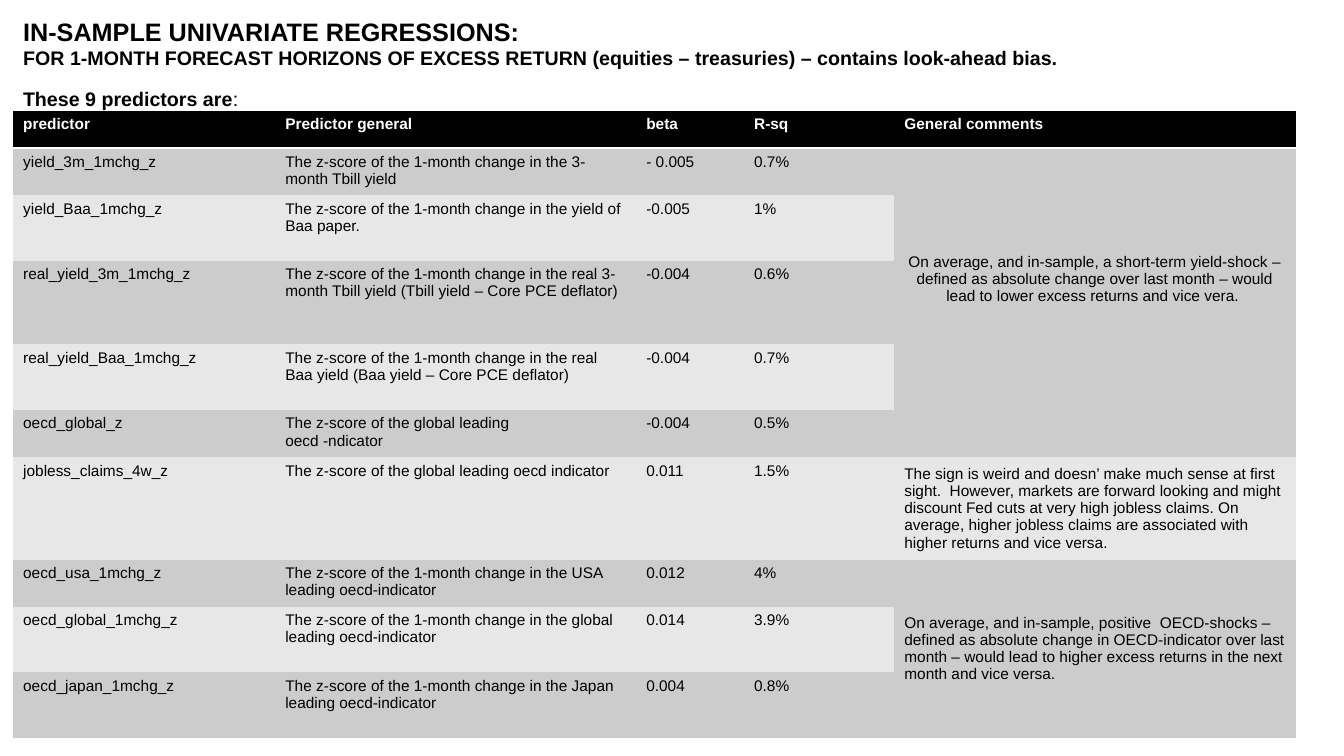
from lxml.etree import fromstring
from pptx import Presentation
from pptx.dml.color import RGBColor
from pptx.enum.text import MSO_ANCHOR, MSO_AUTO_SIZE, PP_ALIGN
from pptx.oxml.ns import qn
from pptx.util import Pt

PX = 9144
WIDE, HIGH = 1333, 750
FONT = "Arial"
PLAIN = "{2D5ABB26-0587-4C30-8999-92F81FD0307C}"
RULE = (
    '<a:lnB xmlns:a="http://schemas.openxmlformats.org/drawingml/2006/main" w="25400">'
    '<a:solidFill><a:srgbClr val="FFFFFF"/></a:solidFill></a:lnB>'
)
COLS = [260, 358, 107, 149, 398]
ROWS = [37, 46, 65, 83, 65, 46, 83, 46, 65, 65]
HEAD = ["predictor", "Predictor general", "beta", "R-sq", "General comments"]
DATA = [
    ["yield_3m_1mchg_z", "The z-score of the 1-month change in the 3-month Tbill yield", "- 0.005", "0.7%"],
    ["yield_Baa_1mchg_z", "The z-score of the 1-month change in the yield of Baa paper.", "-0.005", "1%"],
    ["real_yield_3m_1mchg_z",
     "The z-score of the 1-month change in the real 3-month Tbill yield (Tbill yield – Core PCE deflator)",
     "-0.004", "0.6%"],
    ["real_yield_Baa_1mchg_z",
     "The z-score of the 1-month change in the real Baa yield (Baa yield – Core PCE deflator)",
     "-0.004", "0.7%"],
    ["oecd_global_z", "The z-score of the global leading\noecd -ndicator", "-0.004", "0.5%"],
    ["jobless_claims_4w_z", "The z-score of the global leading oecd indicator", "0.011", "1.5%"],
    ["oecd_usa_1mchg_z", "The z-score of the 1-month change in the USA leading oecd-indicator", "0.012", "4%"],
    ["oecd_global_1mchg_z", "The z-score of the 1-month change in the global leading oecd-indicator",
     "0.014", "3.9%"],
    ["oecd_japan_1mchg_z", "The z-score of the 1-month change in the Japan leading oecd-indicator",
     "0.004", "0.8%"],
]
NOTES = [
    (1, 4, PP_ALIGN.CENTER,
     "On average, and in-sample, a short-term yield-shock – defined as absolute change over last month – "
     "would lead to lower excess returns and vice vera. "),
    (6, 6, PP_ALIGN.LEFT,
     "The sign is weird and doesn’ make much sense at first sight.  However, markets are forward looking "
     "and might discount Fed cuts at very high jobless claims. On average, higher jobless claims are "
     "associated with higher returns and vice versa."),
    (7, 9, PP_ALIGN.LEFT,
     "On average, and in-sample, positive  OECD-shocks – defined as absolute change in OECD-indicator over "
     "last month – would lead to higher excess returns in the next month and vice versa."),
]


def tint(code):
    """Turn a hex string into a colour."""
    return RGBColor.from_string(code)


def add_run(para, text, size=11, bold=False, color="000000"):
    """Append one formatted run to a paragraph."""
    run = para.add_run()
    run.text = text
    font = run.font
    font.name, font.size, font.bold = FONT, Pt(size), bold
    font.color.rgb = tint(color)


def put(frame, text, align=PP_ALIGN.LEFT, **style):
    """Fill a text frame, one paragraph for each line of text."""
    for num, line in enumerate(text.split("\n")):
        para = frame.add_paragraph() if num else frame.paragraphs[0]
        para.alignment = align
        add_run(para, line, **style)


def place(shape, box):
    """Move a shape to a box and let it wrap and grow from the top."""
    shape.left, shape.top, shape.width, shape.height = [n * PX for n in box]
    frame = shape.text_frame
    frame.word_wrap = True
    frame.auto_size = MSO_AUTO_SIZE.SHAPE_TO_FIT_TEXT
    frame.vertical_anchor = MSO_ANCHOR.TOP
    return frame


def add_title(slide, box):
    """Write the heading and its second line in the title placeholder."""
    frame = place(slide.shapes.title, box)
    put(frame, "IN-SAMPLE UNIVARIATE REGRESSIONS:", size=18, bold=True)
    para = frame.add_paragraph()
    para.alignment = PP_ALIGN.LEFT
    add_run(para, "FOR 1-MONTH FORECAST HORIZONS OF EXCESS RETURN (equities – treasuries) – "
            "contains look-ahead bias.", size=14, bold=True)


def add_lead(slide, box):
    """Write the line that leads into the table."""
    frame = place(slide.shapes.add_textbox(0, 0, PX, PX), box)
    put(frame, "These 9 predictors are", size=14, bold=True)
    add_run(frame.paragraphs[0], ":", size=14)


def add_grid(slide, left, top):
    """Draw the table of predictors with its merged comments."""
    shape = slide.shapes.add_table(len(ROWS), len(COLS), left * PX, top * PX, sum(COLS) * PX, sum(ROWS) * PX)
    grid = shape.table
    shape.element.find(".//" + qn("a:tableStyleId")).text = PLAIN
    for col, size in zip(grid.columns, COLS):
        col.width = size * PX
    for row, size in zip(grid.rows, ROWS):
        row.height = size * PX
    for y, words in enumerate([HEAD] + DATA):
        fill = "000000" if y == 0 else "CCCCCC" if y % 2 else "E7E7E7"
        for x in range(len(COLS)):
            cell = grid.cell(y, x)
            cell.fill.solid()
            cell.fill.fore_color.rgb = tint(fill)
            if x < len(words):
                put(cell.text_frame, words[x], bold=y == 0, color="000000" if y else "FFFFFF")
    for first, last, align, text in NOTES:
        cell = grid.cell(first, 4)
        if last > first:
            cell.merge(grid.cell(last, 4))
        cell.vertical_anchor = MSO_ANCHOR.MIDDLE
        put(cell.text_frame, text, align=align)
    for cell in shape.element.find(".//" + qn("a:tr")).findall(qn("a:tc")):
        cell.find(qn("a:tcPr")).insert(0, fromstring(RULE))


def main():
    """Build the slide and save it."""
    deck = Presentation()
    deck.slide_width, deck.slide_height = WIDE * PX, HIGH * PX
    slide = deck.slides.add_slide(deck.slide_layouts[5])
    add_lead(slide, (13, 81, 1311, 34))
    add_grid(slide, 13, 110)
    add_title(slide, (13, 11, 1284, 64))
    deck.save("out.pptx")


if __name__ == "__main__":
    main()
